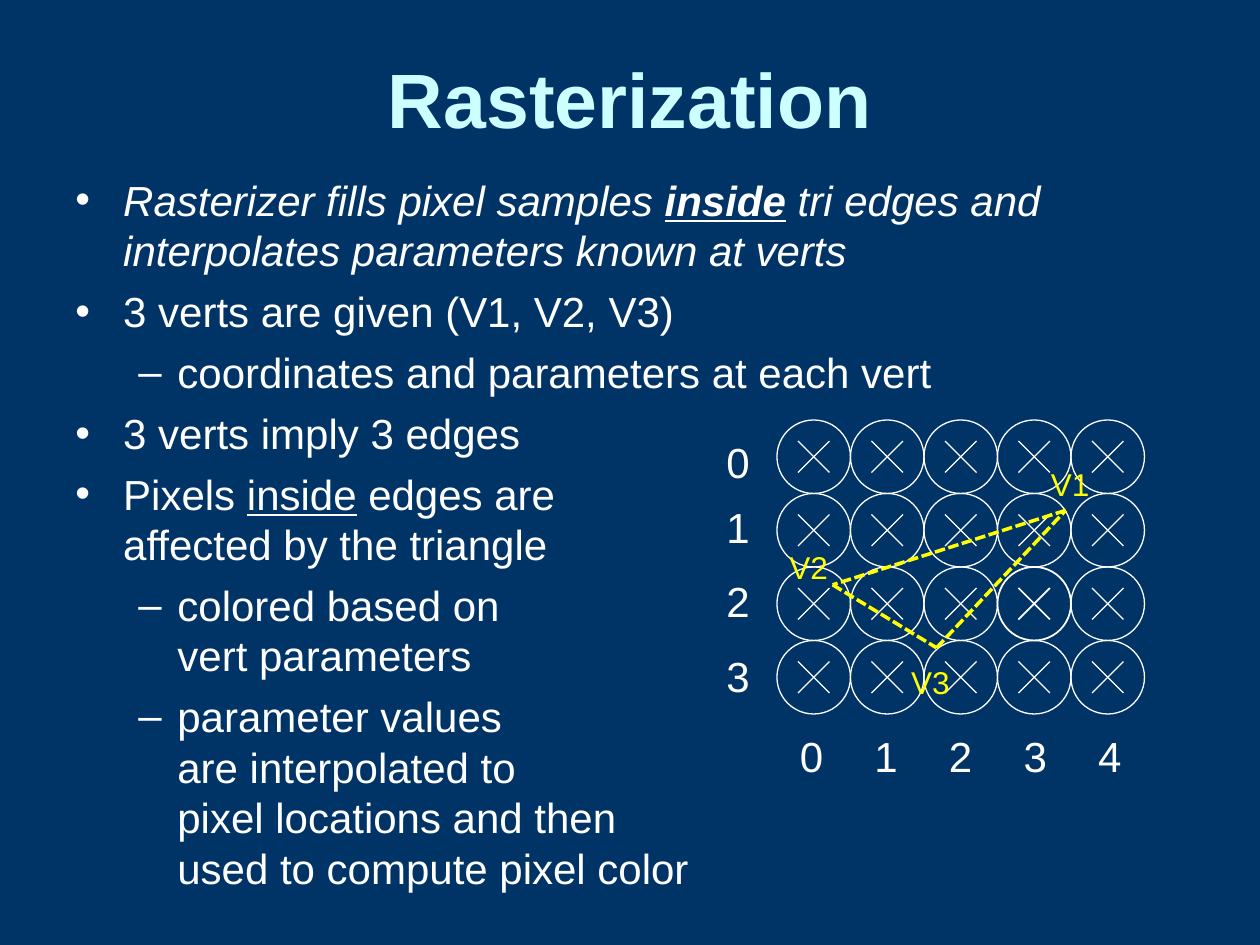
"""Build the Rasterization slide: bullet text beside a pixel grid crossed by a dashed triangle."""
import pptx
import pptx.util
import pptx.dml.color
import pptx.enum.dml
import pptx.enum.shapes
import pptx.enum.text
import pptx.oxml.ns
import lxml.etree

NAVY = pptx.dml.color.RGBColor(0x00, 0x33, 0x66)
PALE_CYAN = pptx.dml.color.RGBColor(0xCC, 0xFF, 0xFF)
WHITE = pptx.dml.color.RGBColor(0xFF, 0xFF, 0xFF)
YELLOW = pptx.dml.color.RGBColor(0xFF, 0xFF, 0x00)

presentation = pptx.Presentation()
presentation.slide_width = pptx.util.Inches(10)
presentation.slide_height = pptx.util.Inches(7.5)
UNIT = presentation.slide_width / 120
GRID_LEFT, GRID_TOP, CELL = 74, 40, 7
COLUMNS, ROWS = 5, 4

slide = presentation.slides.add_slide(presentation.slide_layouts[6])
slide.background.fill.solid()
slide.background.fill.fore_color.rgb = NAVY


def add_text(left, top, width, height, paragraphs, size, color, wrap=True):
    """Add a text box whose paragraphs are lists of (text, style letters) runs."""
    box = slide.shapes.add_textbox(*(round(n * UNIT) for n in (left, top, width, height)))
    frame = box.text_frame
    frame.word_wrap = wrap
    for index, runs in enumerate(paragraphs):
        paragraph = frame.paragraphs[0] if index == 0 else frame.add_paragraph()
        paragraph.line_spacing = pptx.util.Pt(size * 1.2)
        for text, style in runs:
            for line_index, line in enumerate(text.split("\n")):
                if line_index:
                    paragraph.add_line_break()
                run = paragraph.add_run()
                run.text = line
                run.font.name = "Arial"
                run.font.size = pptx.util.Pt(size)
                run.font.color.rgb = color
                run.font.bold = "b" in style
                run.font.italic = "i" in style
                run.font.underline = "u" in style
    return frame


def add_line(shapes, start, end, color, width, dash=None):
    """Add a straight line without shadow between two grid points."""
    line = shapes.add_connector(
        pptx.enum.shapes.MSO_CONNECTOR.STRAIGHT, *(round(n * UNIT) for n in (*start, *end)))
    line.line.color.rgb = color
    line.line.width = pptx.util.Pt(width)
    if dash:
        line.line.dash_style = dash
    properties = line.element.find(pptx.oxml.ns.qn("p:spPr"))
    lxml.etree.SubElement(properties, pptx.oxml.ns.qn("a:effectLst"))


title = add_text(6, 3.6, 108, 11.4, [[("Rasterization", "b")]], 44, PALE_CYAN)
title.vertical_anchor = pptx.enum.text.MSO_ANCHOR.MIDDLE
title.paragraphs[0].alignment = pptx.enum.text.PP_ALIGN.CENTER

BULLETS = [
    (0, [("Rasterizer fills pixel samples ", "i"), ("inside", "biu"),
         (" tri edges and interpolates parameters known at verts", "i")]),
    (0, [("3 verts are given (V1, V2, V3)", "")]),
    (1, [("coordinates and parameters at each vert", "")]),
    (0, [("3 verts imply 3 edges", "")]),
    (0, [("Pixels ", ""), ("inside", "u"), (" edges are\naffected by the triangle", "")]),
    (1, [("colored based on\nvert parameters", "")]),
    (1, [("parameter values\nare interpolated to\npixel locations and then\n"
          "used to compute pixel color", "")]),
]
INDENTS = [(0.38, -0.38, "•"), (0.81, -0.31, "–")]
body = add_text(6, 16, 108, 71, [runs for level, runs in BULLETS], 24, WHITE)
for index, (paragraph, (level, runs)) in enumerate(zip(body.paragraphs, BULLETS)):
    margin, indent, character = INDENTS[level]
    paragraph.level = level
    paragraph.space_before = pptx.util.Pt(6 if index else 0)
    properties = paragraph._p.get_or_add_pPr()
    properties.set("marL", str(pptx.util.Inches(margin)))
    properties.set("indent", str(pptx.util.Inches(indent)))
    bullet_color = lxml.etree.SubElement(properties, pptx.oxml.ns.qn("a:buClr"))
    lxml.etree.SubElement(bullet_color, pptx.oxml.ns.qn("a:srgbClr")).set("val", str(WHITE))
    lxml.etree.SubElement(properties, pptx.oxml.ns.qn("a:buFont")).set("typeface", "Arial")
    lxml.etree.SubElement(properties, pptx.oxml.ns.qn("a:buChar")).set("char", character)

grid = slide.shapes.add_group_shape()
for row in range(ROWS):
    for column in range(COLUMNS):
        left, top = GRID_LEFT + column * CELL, GRID_TOP + row * CELL
        width = 1 if (row, column) == (2, 3) else 0.75
        pixel = grid.shapes.add_shape(
            pptx.enum.shapes.MSO_SHAPE.OVAL, *(round(n * UNIT) for n in (left, top, CELL, CELL)))
        pixel.shadow.inherit = False
        pixel.fill.background()
        pixel.line.color.rgb = WHITE
        pixel.line.width = pptx.util.Pt(width)
        for start, end in ((5, 2), (2, 5)):
            add_line(grid.shapes, (left + 2, top + start), (left + 5, top + end), WHITE, width)

for row, top in enumerate((41, 47.2, 54.2, 61.4)):
    add_text(68, top, 4.6, 6, [[(str(row), "")]], 24, WHITE, wrap=False)
for column in range(COLUMNS):
    add_text(75 + column * 7.1, 69, 4.6, 6, [[(str(column), "")]], 24, WHITE, wrap=False)

VERTICES = [(101.5, 48.6), (79.3, 55.7), (89.2, 61.7)]
for index, vertex in enumerate(VERTICES):
    add_line(slide.shapes, VERTICES[index - 1], vertex, YELLOW, 2,
             pptx.enum.dml.MSO_LINE.SQUARE_DOT)
for name, left, top in (("V1", 98.9, 43.7), ("V2", 74, 51.6), ("V3", 85.6, 62.6)):
    add_text(left, top, 7.1, 4.8, [[(name, "")]], 18, YELLOW)

presentation.save("out.pptx")
